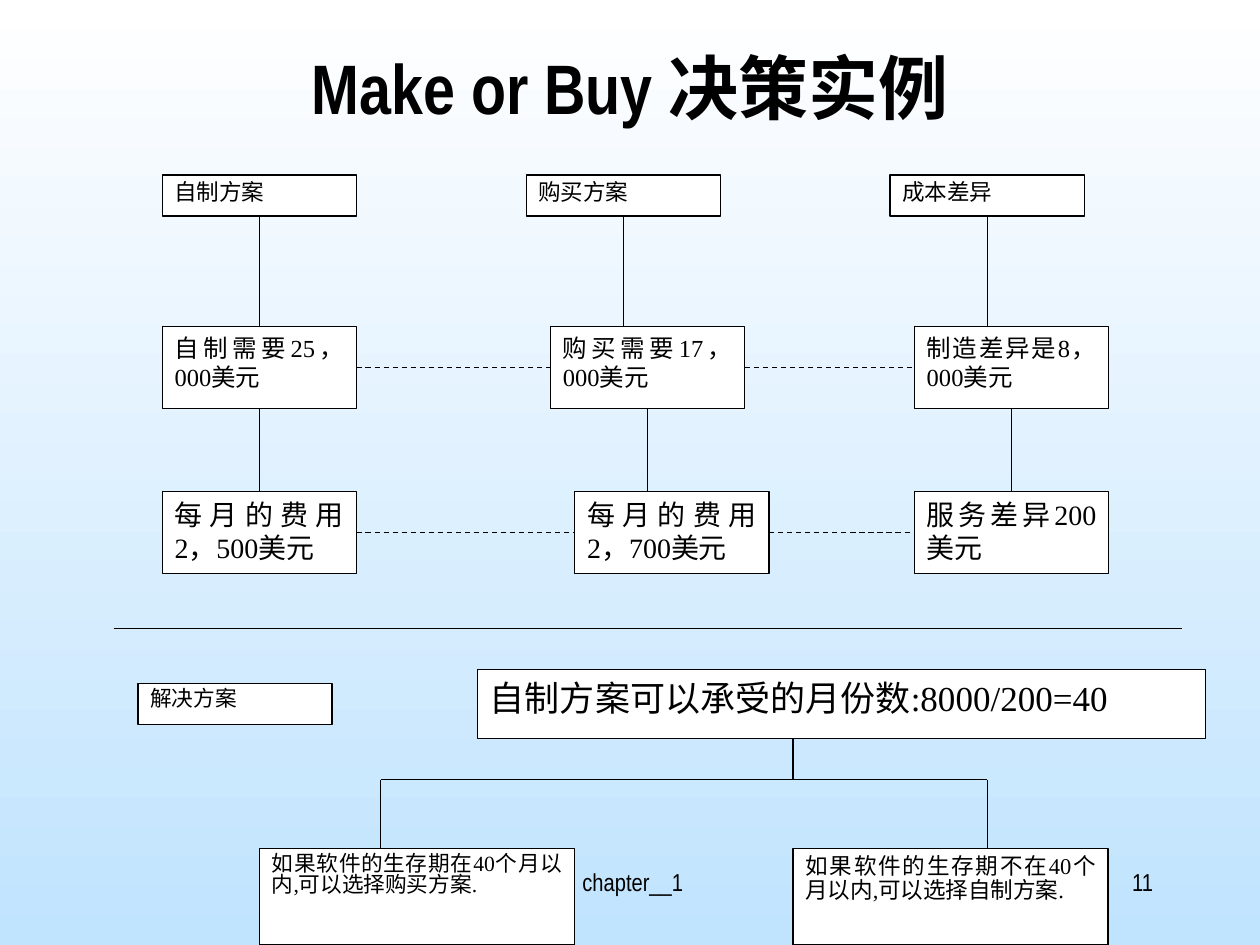
from pptx import Presentation
from pptx.dml.color import RGBColor
from pptx.enum import dml, shapes, text
from pptx.oxml.ns import qn
from pptx.util import Pt
from lxml import etree

COLORS = {"ink": "000000", "box": "FFFFFF", "sky_top": "FFFFFF", "sky_bottom": "C0E3FE"}
COLORS = {name: RGBColor.from_string(value) for name, value in COLORS.items()}
ALIGN = text.PP_ALIGN


def write(sp, words, size, align=ALIGN.JUSTIFY, spacing=1.0, font="Times New Roman", bold=False):
    tf = sp.text_frame
    tf_format = {"word_wrap": True, "auto_size": text.MSO_AUTO_SIZE.NONE,
                 "vertical_anchor": text.MSO_ANCHOR.TOP,
                 "margin_left": Pt(7.2), "margin_right": Pt(7.2),
                 "margin_top": Pt(3.6), "margin_bottom": Pt(3.6)}
    for name, value in tf_format.items():
        setattr(tf, name, value)
    p = tf.paragraphs[0]
    p_format = {"alignment": align, "line_spacing": spacing,
                "space_before": Pt(0), "space_after": Pt(0)}
    for name, value in p_format.items():
        setattr(p, name, value)
    r = p.add_run()
    r.text = words
    for name, value in {"size": Pt(size), "name": font, "bold": bold}.items():
        setattr(r.font, name, value)
    r.font.color.rgb = COLORS["ink"]


prs = Presentation()
prs.slide_width, prs.slide_height = Pt(720), Pt(540)
s = prs.slides.add_slide(prs.slide_layouts[5])

# Background
fill = s.background.fill
fill.gradient()
fill.gradient_angle = 270
for stop, name, position in zip(fill.gradient_stops, ("sky_top", "sky_bottom"), (0, 1)):
    stop.color.rgb = COLORS[name]
    stop.position = position

# Title and footer
title = s.shapes.title
title.left, title.top, title.width, title.height = Pt(36), Pt(21.6), Pt(648), Pt(90)
write(title, "Make or Buy 决策实例", 40, ALIGN.CENTER, font="Arial Narrow", bold=True)
for left, width, words, align in ((246, 228, " chapter__1", ALIGN.CENTER),
                                  (516, 150, "11", ALIGN.RIGHT)):
    sp = s.shapes.add_textbox(Pt(left), Pt(492), Pt(width), Pt(36))
    write(sp, words, 14, align, font="Arial Narrow")

# Comparison rows: top, height, size, spacing, lefts, words
BOX_W = 111
rows = [
    (100, 23.5, 12.9, 0.9, (92.7, 300.7, 508.6), ("自制方案", "购买方案", "成本差异")),
    (186.6, 47, 14, 1.0, (92.7, 314.6, 522.5),
     ("自制需要25，000美元", "购买需要17，000美元", "制造差异是8，000美元")),
    (280.7, 47, 16, 1.0, (92.7, 328.5, 522.5),
     ("每月的费用2，500美元", "每月的费用2，700美元", "服务差异200美元")),
]
boxes = [(left, top, BOX_W, height, words, size, spacing)
         for top, height, size, spacing, lefts, row_words in rows
         for left, words in zip(lefts, row_words)]

# Solution boxes: left, top, width, height, words, size, spacing
boxes += [
    (78.8, 390.6, BOX_W, 23.5, "解决方案", 12.4, 0.8),
    (272.9, 382.8, 416, 39.3, "自制方案可以承受的月份数:8000/200=40", 20, 1.0),
    (148.3, 485, 180, 55, "如果软件的生存期在40个月以内,可以选择购买方案.", 12.4, 0.8),
    (453.2, 485, 180, 55, "如果软件的生存期不在40个月以内,可以选择自制方案.", 12.9, 0.9),
]
for left, top, width, height, words, size, spacing in boxes:
    sp = s.shapes.add_shape(shapes.MSO_SHAPE.RECTANGLE, Pt(left), Pt(top), Pt(width), Pt(height))
    sp.shadow.inherit = False
    sp.fill.solid()
    sp.fill.fore_color.rgb = COLORS["box"]
    sp.line.color.rgb = COLORS["ink"]
    sp.line.width = Pt(0.75)
    write(sp, words, size, spacing=spacing)

# Lines: x1, y1, x2, y2, dashed
lines = [(65, 359.2, 675.2, 359.2, False)]
for upper, lower in zip(rows, rows[1:]):
    for left in upper[4]:
        x = left + BOX_W / 2
        lines.append((x, upper[0] + upper[1], x, lower[0], False))
for top, height, _, _, lefts, _ in rows[1:]:
    y = top + height / 2
    for left, right in zip(lefts, lefts[1:]):
        lines.append((left + BOX_W, y, right, y, True))

fork_y, fork_left, fork_right, stem_x = 445.6, 217.6, 564.1, 453.2
lines += [
    (stem_x, 422.1, stem_x, fork_y, False),
    (fork_left, fork_y, fork_right, fork_y, False),
    (fork_left, fork_y, fork_left, 485, False),
    (fork_right, fork_y, fork_right, 485, False),
]
for x1, y1, x2, y2, dashed in lines:
    line = s.shapes.add_connector(shapes.MSO_CONNECTOR.STRAIGHT, Pt(x1), Pt(y1), Pt(x2), Pt(y2))
    line.line.color.rgb = COLORS["ink"]
    line.line.width = Pt(0.75)
    if dashed:
        line.line.dash_style = dml.MSO_LINE.DASH
    etree.SubElement(line._element.spPr, qn("a:effectLst"))

prs.save("out.pptx")
